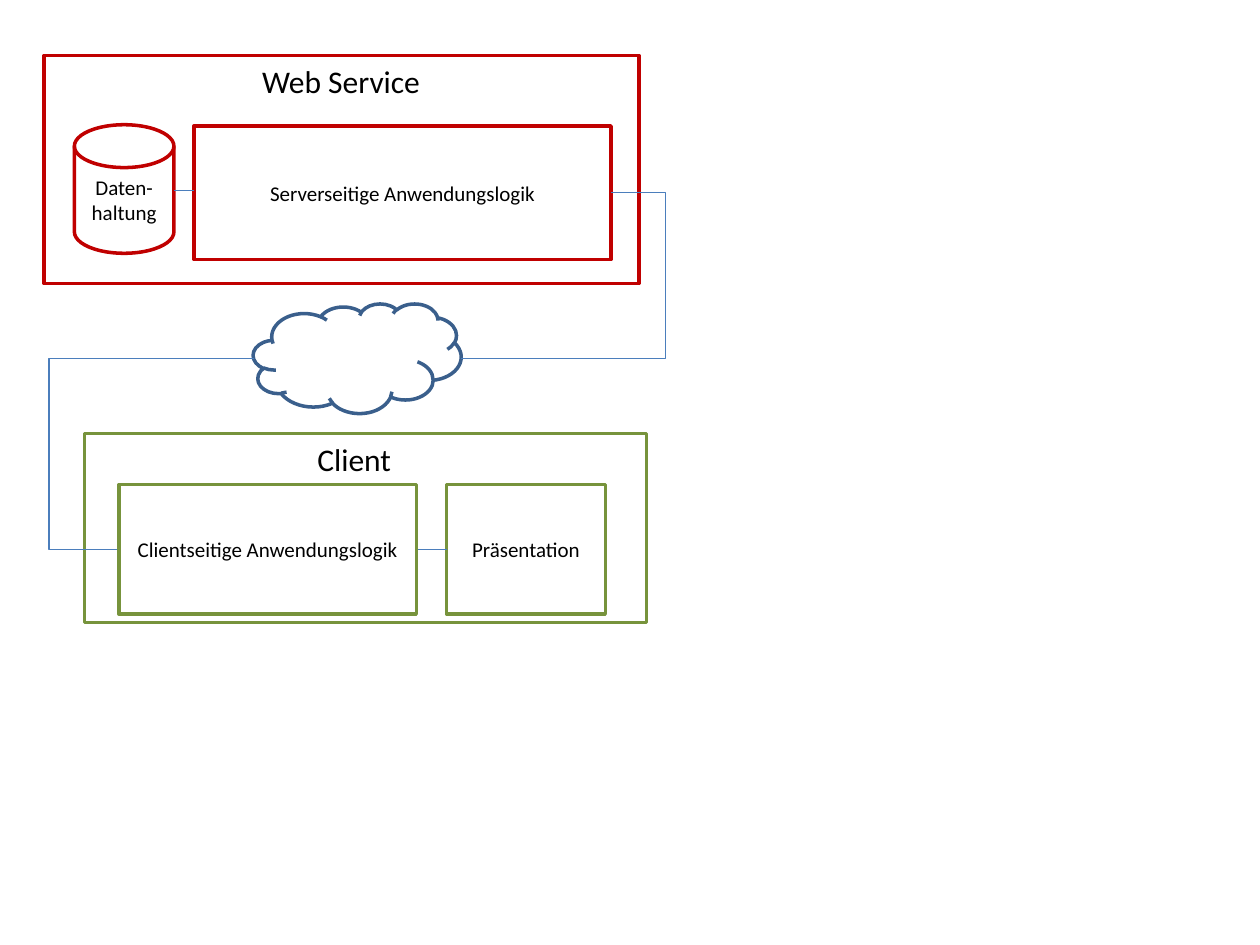
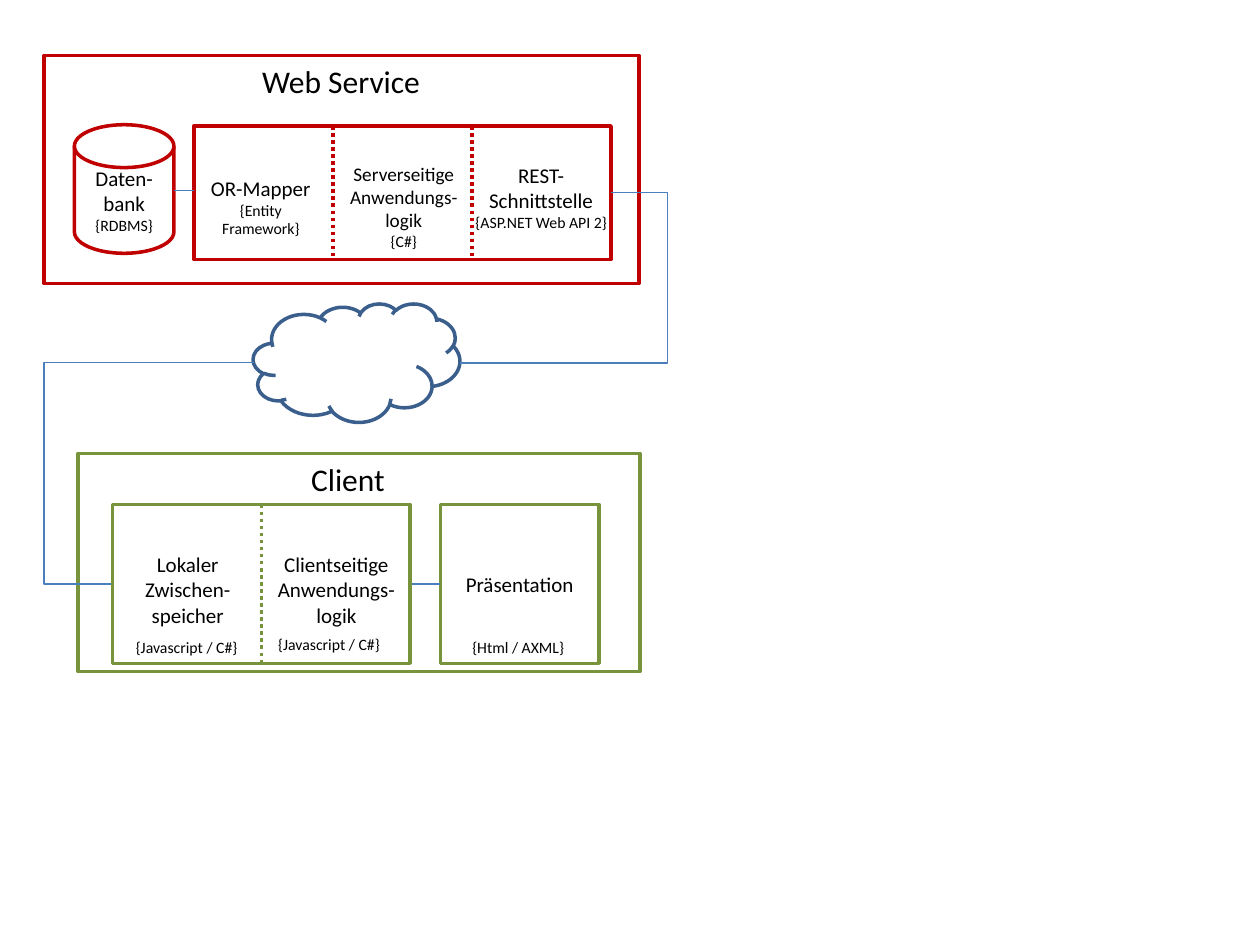
from dataclasses import dataclass
from typing import NamedTuple

from lxml.etree import SubElement
from pptx import Presentation
from pptx.dml.color import RGBColor
from pptx.enum.dml import MSO_LINE
from pptx.enum.shapes import MSO_CONNECTOR, MSO_SHAPE
from pptx.enum.text import MSO_ANCHOR, MSO_AUTO_SIZE, PP_ALIGN
from pptx.oxml.ns import qn
from pptx.util import Inches, Pt

WHITE = RGBColor(0xFF, 0xFF, 0xFF)
BLACK = RGBColor(0x00, 0x00, 0x00)
SERVER_RED = RGBColor(0xC0, 0x00, 0x00)
CLIENT_GREEN = RGBColor(0x77, 0x93, 0x3C)
CLOUD_BLUE = RGBColor(0x3A, 0x5F, 0x8C)
LINK_BLUE = RGBColor(0x4B, 0x7E, 0xBC)

FONT = "Calibri"
HEADING_SIZE, LABEL_SIZE, SMALL_LABEL_SIZE, TECH_SIZE = 18, 12, 11, 9
FRAME_WIDTH, LINK_WIDTH = 2, 0.75

# The slide is a grid of square cells; every length below counts cells.
COLUMNS, ROWS = 100, 75
CELL = Inches(0.1)


class Box(NamedTuple):
    """A rectangle in grid cells."""
    left: float
    top: float
    width: float
    height: float

    @property
    def right(self) -> float:
        return self.left + self.width

    @property
    def middle(self) -> float:
        return self.top + self.height / 2

    def lengths(self) -> list:
        """Return the four lengths for python-pptx."""
        return [cells(value) for value in self]


class Line(NamedTuple):
    """One paragraph of a label."""
    text: str
    size: float = LABEL_SIZE


@dataclass
class Label:
    """A free text and its place."""
    box: Box
    lines: list
    align: PP_ALIGN = PP_ALIGN.CENTER
    wrap: bool = True


@dataclass
class Architecture:
    """What differs between the overview and the detailed view."""
    cloud: Box
    client: Box
    left_detour: float
    right_detour: float
    storage: list
    server_logic: list
    client_logic: list
    server_parts: int = 1
    client_parts: int = 1
    server_labels: tuple = ()
    client_labels: tuple = ()
    tech_labels: tuple = ()


SERVER = Box(3.5, 4.4, 47.2, 18.1)
SERVER_HEADING = Box(19.8, 4.4, 14.7, 4)
STORAGE = Box(5.9, 9.9, 7.9, 10.2)
SERVER_LOGIC = Box(15.4, 10, 33.1, 10.6)
STORAGE_LINK_ROW = 15.1


def cells(count: float) -> int:
    """Convert grid cells to a length."""
    return round(count * CELL)


def write(text_frame, lines: list, align: PP_ALIGN) -> None:
    """Fill a text frame with formatted paragraphs."""
    text_frame.text = "\n".join(line.text for line in lines)
    for paragraph, line in zip(text_frame.paragraphs, lines):
        paragraph.alignment = align
        for run in paragraph.runs:
            run.font.name = FONT
            run.font.size = Pt(line.size)
            run.font.color.rgb = BLACK


def add_frame(shapes, kind: MSO_SHAPE, box: Box, color: RGBColor, lines: list = ()):
    """Draw a white outlined shape with optional centred text."""
    shape = shapes.add_shape(kind, *box.lengths())
    shape.shadow.inherit = False
    shape.fill.solid()
    shape.fill.fore_color.rgb = WHITE
    shape.line.color.rgb = color
    shape.line.width = Pt(FRAME_WIDTH)
    if lines:
        shape.text_frame.vertical_anchor = MSO_ANCHOR.MIDDLE
        write(shape.text_frame, lines, PP_ALIGN.CENTER)


def add_label(shapes, label: Label) -> None:
    """Draw a text box."""
    text_frame = shapes.add_textbox(*label.box.lengths()).text_frame
    text_frame.word_wrap = label.wrap
    text_frame.auto_size = MSO_AUTO_SIZE.SHAPE_TO_FIT_TEXT
    write(text_frame, label.lines, label.align)


def add_line(shapes, start: tuple, end: tuple, color: RGBColor = LINK_BLUE,
             width: float = LINK_WIDTH, kind: MSO_CONNECTOR = MSO_CONNECTOR.STRAIGHT):
    """Draw a connector between two grid points."""
    connector = shapes.add_connector(kind, *map(cells, start + end))
    connector.line.color.rgb = color
    connector.line.width = Pt(width)
    SubElement(connector._element.spPr, qn("a:effectLst"))
    return connector


def add_detour(shapes, start: tuple, end: tuple, column: float) -> None:
    """Draw an elbow link whose upright part runs along a column."""
    connector = add_line(shapes, start, end, kind=MSO_CONNECTOR.ELBOW)
    share = (column - start[0]) / (end[0] - start[0])
    geometry = connector._element.spPr.find(qn("a:prstGeom"))
    adjustments = geometry.find(qn("a:avLst"))
    if adjustments is None:
        adjustments = SubElement(geometry, qn("a:avLst"))
    SubElement(adjustments, qn("a:gd"), name="adj1", fmla=f"val {round(share * 100000)}")


def add_parts(shapes, box: Box, color: RGBColor, parts: int, lines: list, labels: tuple):
    """Draw a box; several parts are grouped and split by dotted lines."""
    target = shapes.add_group_shape().shapes if parts > 1 else shapes
    add_frame(target, MSO_SHAPE.RECTANGLE, box, color, lines)
    for part in range(1, parts):
        column = box.left + box.width * part / parts
        divider = add_line(target, (column, box.top), (column, box.top + box.height),
                           color, FRAME_WIDTH)
        divider.line.dash_style = MSO_LINE.ROUND_DOT
    for label in labels:
        add_label(target, label)


def add_title(slide, text: str, box: Box) -> None:
    """Move the title placeholder onto the server frame."""
    title = slide.shapes.title
    title.left, title.top, title.width, title.height = box.lengths()
    text_frame = title.text_frame
    text_frame.word_wrap = False
    text_frame.auto_size = MSO_AUTO_SIZE.SHAPE_TO_FIT_TEXT
    text_frame.vertical_anchor = MSO_ANCHOR.TOP
    write(text_frame, [Line(text, HEADING_SIZE)], PP_ALIGN.LEFT)
    slide.shapes._spTree.append(title._element)  # in front of the frame


def add_server(slide, view: Architecture) -> None:
    """Draw the web service with its storage and logic."""
    shapes = slide.shapes
    add_frame(shapes, MSO_SHAPE.RECTANGLE, SERVER, SERVER_RED)
    add_title(slide, "Web Service", SERVER_HEADING)
    add_frame(shapes, MSO_SHAPE.FLOWCHART_MAGNETIC_DISK, STORAGE, SERVER_RED, view.storage)
    add_parts(shapes, SERVER_LOGIC, SERVER_RED, view.server_parts,
              view.server_logic, view.server_labels)
    add_line(shapes, (STORAGE.right, STORAGE_LINK_ROW), (SERVER_LOGIC.left, STORAGE_LINK_ROW))


def add_client(slide, view: Architecture) -> None:
    """Draw the client, the cloud and the links to the server."""
    shapes, client, cloud = slide.shapes, view.client, view.cloud
    inner_top, inner_height = client.top + 4.05, client.height - 4.7
    logic = Box(client.left + 2.75, inner_top, 23.6, inner_height)
    display = Box(client.left + 28.75, inner_top, 12.6, inner_height)
    add_frame(shapes, MSO_SHAPE.CLOUD, cloud, CLOUD_BLUE)
    add_frame(shapes, MSO_SHAPE.RECTANGLE, client, CLIENT_GREEN)
    add_label(shapes, Label(Box(client.left + 17.5, client.top, 7.9, 4),
                            [Line("Client", HEADING_SIZE)], PP_ALIGN.LEFT, wrap=False))
    add_detour(shapes, (SERVER_LOGIC.right, SERVER_LOGIC.middle),
               (cloud.right, cloud.middle), view.right_detour)
    add_detour(shapes, (cloud.left + 0.1, cloud.middle),
               (logic.left, logic.middle), view.left_detour)
    add_frame(shapes, MSO_SHAPE.RECTANGLE, display, CLIENT_GREEN, [Line("Präsentation")])
    add_line(shapes, (logic.right, logic.middle), (display.left, display.middle))
    add_parts(shapes, logic, CLIENT_GREEN, view.client_parts,
              view.client_logic, view.client_labels)
    for label in view.tech_labels:
        add_label(shapes, label)


def tech(text: str) -> Line:
    """Return a small line that names a technology."""
    return Line(f"{{{text}}}", TECH_SIZE)


OVERVIEW = Architecture(
    cloud=Box(20.1, 24.1, 16.5, 8.7),
    client=Box(6.7, 34.4, 44.6, 15),
    left_detour=3.9,
    right_detour=52.8,
    storage=[Line("Daten-haltung")],
    server_logic=[Line("Serverseitige Anwendungslogik")],
    client_logic=[Line("Clientseitige Anwendungslogik")],
)

DETAILS = Architecture(
    cloud=Box(20.1, 24.1, 16.4, 9.4),
    client=Box(6.2, 36, 44.6, 17.3),
    left_detour=3.5,
    right_detour=53,
    storage=[Line("Daten-bank"), tech("RDBMS")],
    server_logic=[],
    client_logic=[],
    server_parts=3,
    client_parts=2,
    server_labels=(
        Label(Box(15.2, 13.4, 11, 6.1), [Line("OR-Mapper"), tech("Entity Framework")]),
        Label(Box(26.3, 12.4, 11.5, 8.1),
              [Line("Serverseitige Anwendungs-logik", SMALL_LABEL_SIZE), tech("C#")]),
        Label(Box(36.6, 12.4, 12.7, 6.6),
              [Line("REST-"), Line("Schnittstelle"), tech("ASP.NET Web API 2")], wrap=False),
    ),
    client_labels=(
        Label(Box(9, 43.3, 11.8, 6), [Line("Lokaler Zwischen-speicher")]),
        Label(Box(20.9, 43.3, 11.6, 7.1), [Line("Clientseitige Anwendungs-logik")]),
    ),
    tech_labels=(
        Label(Box(9.8, 50.1, 13.4, 2.5), [tech("Javascript / C#")], PP_ALIGN.LEFT),
        Label(Box(21.1, 49.9, 13.4, 2.5), [tech("Javascript / C#")], PP_ALIGN.LEFT),
        Label(Box(36.5, 50.1, 9.4, 2.5), [tech("Html / AXML")], PP_ALIGN.LEFT, wrap=False),
    ),
)


def main() -> None:
    """Build both slides and save them."""
    presentation = Presentation()
    presentation.slide_width, presentation.slide_height = cells(COLUMNS), cells(ROWS)
    title_only = presentation.slide_layouts[5]
    for view in (OVERVIEW, DETAILS):
        slide = presentation.slides.add_slide(title_only)
        add_server(slide, view)
        add_client(slide, view)
    presentation.save("out.pptx")


main()
